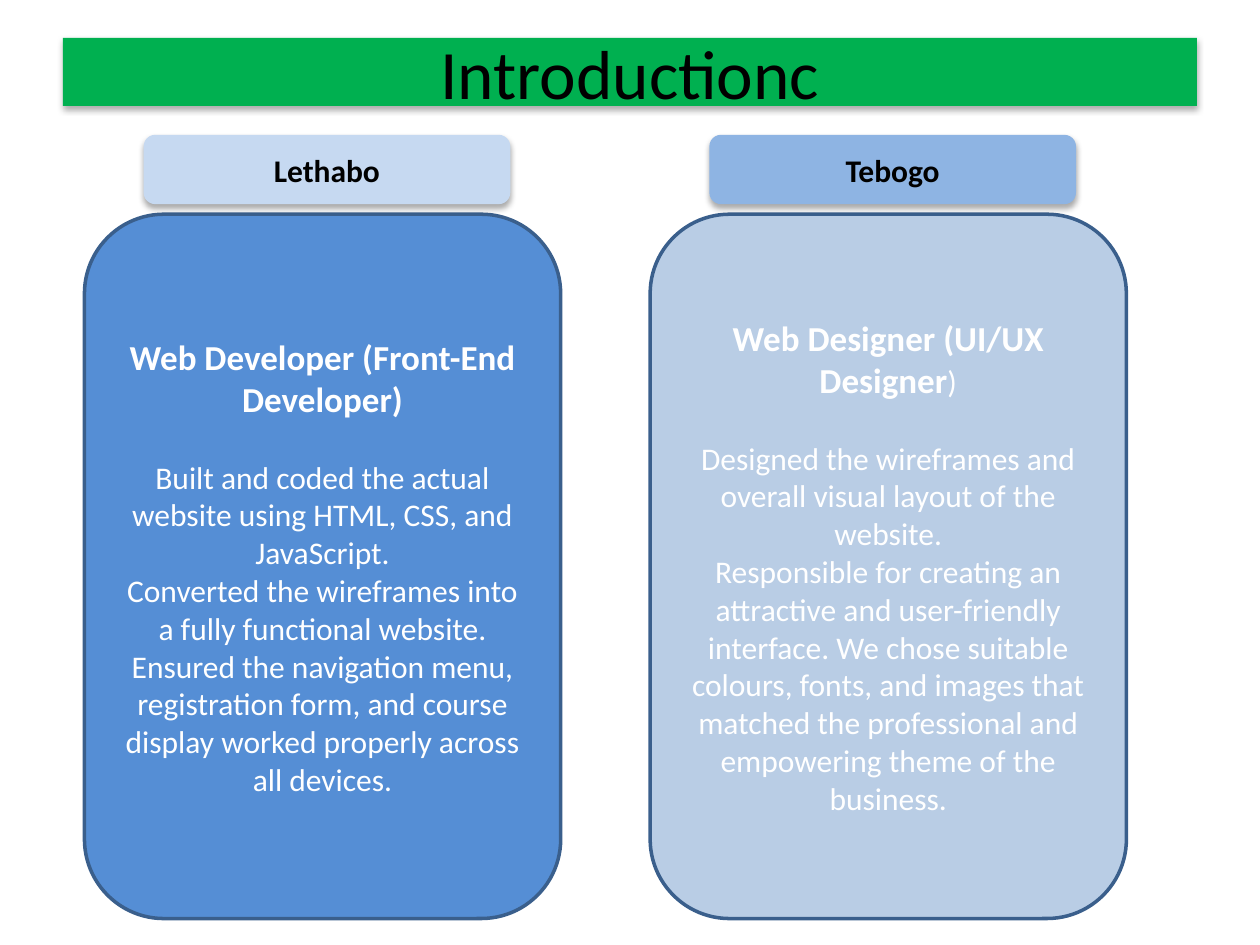
import pptx
import pptx.dml.color
import pptx.enum.shapes
import pptx.enum.text
import pptx.oxml
import pptx.oxml.ns
import pptx.util

Inches = pptx.util.Inches
Pt = pptx.util.Pt
SHAPES = pptx.enum.shapes.MSO_SHAPE

COLORS = {
    "title": "00B050", "outline": "3A5F8C", "black": "000000", "white": "FFFFFF",
    "developer_label": "C6D9F1", "developer_card": "558ED5",
    "designer_label": "8EB4E3", "designer_card": "B9CDE5",
}
TITLE_FONT = {"name": "Calibri", "size": Pt(39.6), "bold": False}
HEADING_FONT = {"name": "Calibri", "size": Pt(20), "bold": True}
LABEL_FONT = {"name": "Calibri", "size": Pt(18), "bold": True}
BODY_FONT = {"name": "Calibri", "size": Pt(18), "bold": False}
FRAME_FORMAT = {"word_wrap": True, "vertical_anchor": pptx.enum.text.MSO_ANCHOR.MIDDLE}

# Each member: name, colour prefix, heading runs, duties
MEMBERS = [
    ("Lethabo", "developer",
     [("Web Developer (Front-End Developer)", HEADING_FONT)],
     ["Built and coded the actual website using HTML, CSS, and JavaScript.",
      "Converted the wireframes into a fully functional website. Ensured the "
      "navigation menu, registration form, and course display worked properly "
      "across all devices."]),
    ("Tebogo", "designer",
     [("Web Designer (UI/UX Designer", HEADING_FONT), (")", BODY_FONT)],
     ["Designed the wireframes and overall visual layout of the website.",
      "Responsible for creating an attractive and user-friendly interface. We "
      "chose suitable colours, fonts, and images that matched the professional "
      "and empowering theme of the business."]),
]


def rgb(color):
    return pptx.dml.color.RGBColor.from_string(COLORS[color])


def apply_format(target, values):
    for attribute, value in values.items():
        setattr(target, attribute, value)


def add_shadow(shape):
    shape.shadow.inherit = False
    effects = shape._element.spPr.find(pptx.oxml.ns.qn("a:effectLst"))
    effects.append(pptx.oxml.parse_xml(
        f'<a:outerShdw {pptx.oxml.ns.nsdecls("a")} blurRad="{Pt(3.5)}" '
        f'dist="{Pt(2.2)}" dir="5400000" rotWithShape="0">'
        f'<a:srgbClr val="{COLORS["black"]}"><a:alpha val="32000"/></a:srgbClr>'
        '</a:outerShdw>'))


def add_panel(slide, kind, box, fill, paragraphs, text_color, outlined=False):
    """Add a filled shape; paragraphs is a list of lists of (text, font) runs."""
    shape = slide.shapes.add_shape(kind, *(Inches(length) for length in box))
    shape.fill.solid()
    shape.fill.fore_color.rgb = rgb(fill)
    if outlined:
        shape.shadow.inherit = False
        shape.line.color.rgb = rgb("outline")
        shape.line.width = Pt(2)
    else:
        shape.line.fill.background()
        add_shadow(shape)
    frame = shape.text_frame
    apply_format(frame, FRAME_FORMAT)
    for index, runs in enumerate(paragraphs):
        paragraph = frame.add_paragraph() if index else frame.paragraphs[0]
        paragraph.alignment = pptx.enum.text.PP_ALIGN.CENTER
        for text, font in runs:
            run = paragraph.add_run()
            run.text = text
            apply_format(run.font, font)
            run.font.color.rgb = rgb(text_color)
    return shape


def add_title(slide, box):
    add_panel(slide, SHAPES.RECTANGLE, box, "title",
              [[("Introductionc", TITLE_FONT)]], "black")


def add_member(slide, box, name, role, heading, duties):
    left, top, width, height = box
    label_height, card_offset = 0.55, 0.63
    # Role card
    card = add_panel(slide, SHAPES.ROUNDED_RECTANGLE,
                     (left, top + card_offset, width, height - card_offset),
                     f"{role}_card",
                     [heading] + [[(duty, BODY_FONT)] for duty in duties],
                     "white", outlined=True)
    card.text_frame.paragraphs[0].space_after = Pt(22)
    # Name label
    add_panel(slide, SHAPES.ROUNDED_RECTANGLE,
              (left + 0.47, top, 2.91, label_height),
              f"{role}_label", [[(name, LABEL_FONT)]], "black")


def main():
    presentation = pptx.Presentation()
    presentation.slide_width = Inches(10)
    presentation.slide_height = Inches(7.5)
    slide = presentation.slides.add_slide(presentation.slide_layouts[6])
    add_title(slide, (0.5, 0.3, 9, 0.54))
    for column, member in enumerate(MEMBERS):
        add_member(slide, (0.67 + column * 4.49, 1.07, 3.78, 6.22), *member)
    presentation.save("out.pptx")


if __name__ == "__main__":
    main()
